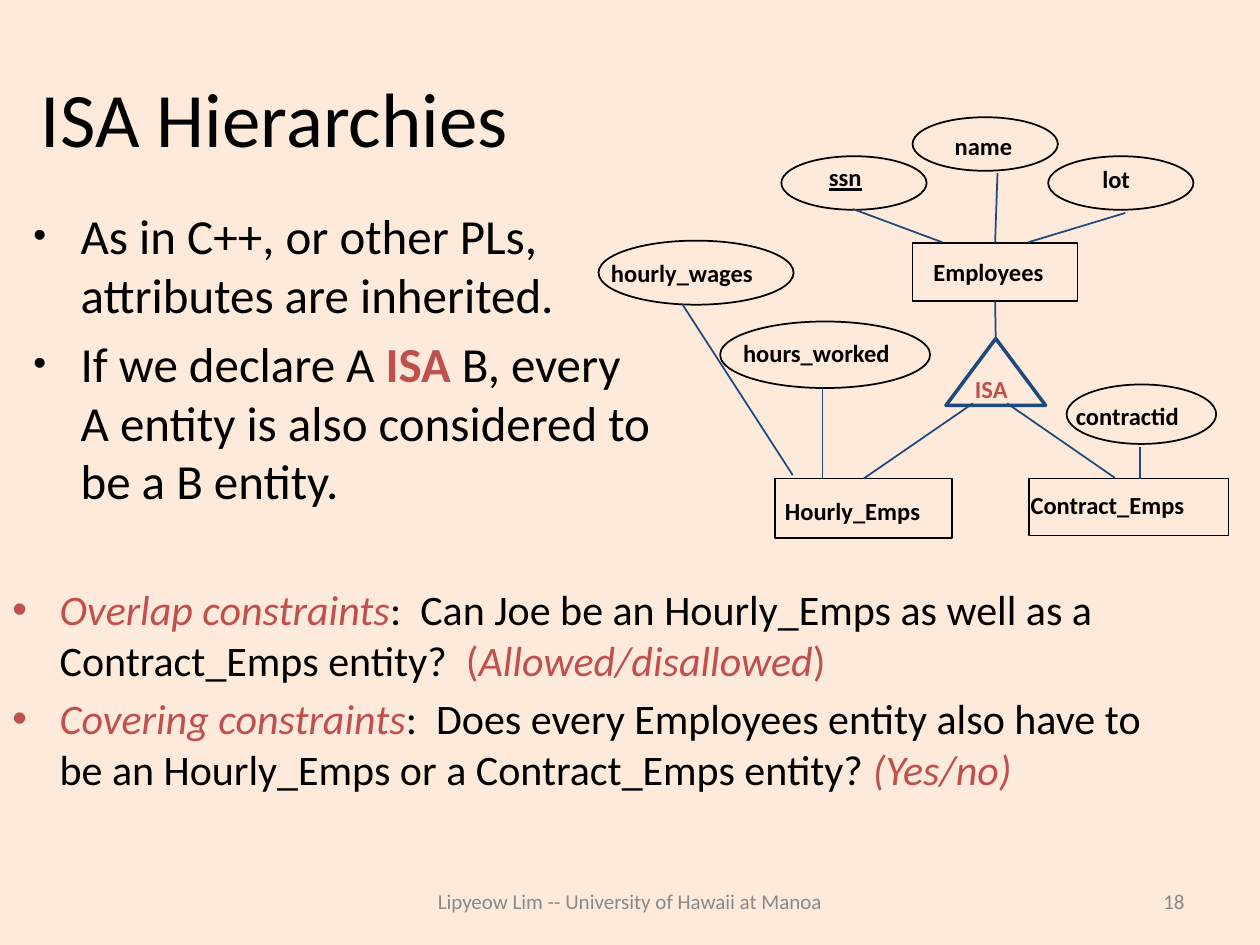
from lxml import etree
from pptx import Presentation
from pptx import util as u
from pptx.dml.color import RGBColor
from pptx.enum import shapes, text
from pptx.oxml.ns import qn

Pt = u.Pt
BLACK = RGBColor(0x00, 0x00, 0x00)
RED = RGBColor(0xC0, 0x50, 0x4D)
NAVY = RGBColor(0x1F, 0x49, 0x7D)
GREY = RGBColor(0x89, 0x89, 0x89)
PEACH = RGBColor(0xFD, 0xEA, 0xDA)
OVAL = shapes.MSO_SHAPE.OVAL
RECT = shapes.MSO_SHAPE.RECTANGLE
TRIANGLE = shapes.MSO_SHAPE.ISOSCELES_TRIANGLE
ALIGN = text.PP_ALIGN
ANCHOR = text.MSO_ANCHOR


class Deck:
    """Holds the style and the current slide."""

    font = "Calibri"

    def __init__(self, width, height):
        self.prs = Presentation()
        self.prs.slide_width, self.prs.slide_height = Pt(width), Pt(height)

    def slide(self, color):
        self.s = self.prs.slides.add_slide(self.prs.slide_layouts[6])
        fill = self.s.background.fill
        fill.solid()
        fill.fore_color.rgb = color

    def run(self, p, words, color=BLACK, **formats):
        r = p.add_run()
        r.text = words
        r.font.color.rgb = color
        for name, value in {"name": self.font, **formats}.items():
            setattr(r.font, name, value)

    def box(self, x, y, w, h, anchor=ANCHOR.TOP):
        tf = self.s.shapes.add_textbox(Pt(x), Pt(y), Pt(w), Pt(h)).text_frame
        tf.word_wrap = True
        tf.vertical_anchor = anchor
        return tf

    def line_of_text(self, words, x, y, w, h, size, color=BLACK,
                     align=ALIGN.LEFT, anchor=ANCHOR.MIDDLE, **formats):
        p = self.box(x, y, w, h, anchor).paragraphs[0]
        p.alignment = align
        self.run(p, words, color, size=Pt(size), **formats)

    def label(self, words, x, y, w, color=BLACK, **formats):
        self.line_of_text(words, x, y, w, 24, 14, color,
                          anchor=ANCHOR.TOP, bold=True, **formats)

    def bullets(self, items, x, y, w, h, size, color, percent):
        tf = self.box(x, y, w, h)
        for i, runs in enumerate(items):
            p = tf.add_paragraph() if i else tf.paragraphs[0]
            pPr = p._p.get_or_add_pPr()
            pPr.set("marL", str(Pt(27)))
            pPr.set("indent", str(-Pt(27)))
            clr = etree.SubElement(pPr, qn("a:buClr"))
            etree.SubElement(clr, qn("a:srgbClr"), val=str(color))
            etree.SubElement(pPr, qn("a:buSzPct"), val=str(percent * 1000))
            etree.SubElement(pPr, qn("a:buFont"), typeface="Arial")
            etree.SubElement(pPr, qn("a:buChar"), char="•")
            if i:
                p.space_before = Pt(size * 0.2)
            for words, formats in runs:
                self.run(p, words, size=Pt(size), **formats)

    def outline(self, kind, x, y, w, h, color=BLACK, weight=1):
        sp = self.s.shapes.add_shape(kind, Pt(x), Pt(y), Pt(w), Pt(h))
        sp.shadow.inherit = False
        sp.fill.background()
        sp.line.color.rgb = color
        sp.line.width = Pt(weight)
        return sp

    def link(self, x1, y1, x2, y2, begin=None, end=None):
        c = self.s.shapes.add_connector(
            shapes.MSO_CONNECTOR.STRAIGHT, Pt(x1), Pt(y1), Pt(x2), Pt(y2))
        c.line.color.rgb = NAVY
        c.line.width = Pt(1)
        etree.SubElement(c._element.spPr, qn("a:effectLst"))
        if begin:
            c.begin_connect(*begin)
        if end:
            c.end_connect(*end)


def main():
    d = Deck(720, 540)
    d.slide(PEACH)

    # Title
    d.line_of_text("ISA Hierarchies", 12, 21.6, 290, 90, 44, align=ALIGN.CENTER)

    # Bullet lists
    red, term = {"color": RED}, {"color": RED, "italic": True}
    d.bullets([
        [("As in C++, or other PLs, attributes are inherited.", {})],
        [("If we declare A ", {}), ("ISA", {"color": RED, "bold": True}),
         (" B, every A entity is also considered to be a B entity.", {})],
    ], 12, 114, 372, 198, 28, BLACK, 75)
    d.bullets([
        [("Overlap constraints", term),
         (":  Can Joe be an Hourly_Emps as well as a Contract_Emps entity?  ", {}),
         ("(", red), ("Allowed/disallowed", term), (")", red)],
        [("Covering constraints", term),
         (":  Does every Employees entity also have to be an Hourly_Emps "
          "or a Contract_Emps entity?", {}),
         (" (Yes/no)", term)],
    ], 0, 330, 678, 174, 24, RED, 100)

    # Attributes
    for oval in [(446.5, 89.3, 83, 30.6), (599, 89.3, 83, 30.6),
                 (521.5, 67, 83, 30.6), (342, 137.5, 111.5, 36.6),
                 (609.5, 219.7, 85.5, 34), (411.5, 183.7, 120, 38)]:
        d.outline(OVAL, *oval)

    # Entities and the ISA triangle
    employees = d.outline(RECT, 521.5, 138.7, 94.3, 33.5)
    hourly = d.outline(RECT, 443, 273.5, 101, 34)
    d.outline(RECT, 588, 273.5, 114, 32.5)
    isa = d.outline(TRIANGLE, 540.5, 193.5, 57, 38.2, NAVY, 2)

    # Links
    d.link(487.5, 119.5, 538.5, 138.5)
    d.link(570, 99, 570, 138.5, end=(employees, 0))
    d.link(643, 121.7, 587.5, 138.5)
    d.link(568.7, 193.5, 568.7, 172.2, begin=(isa, 0), end=(employees, 2))
    d.link(390, 174, 453, 271.5)
    d.link(470, 221.5, 470, 273)
    d.link(556, 230.5, 493.5, 273.5, end=(hourly, 0))
    d.link(575.5, 230.5, 637, 273)
    d.link(651.6, 255.6, 651.6, 273.5)

    # Labels
    d.label("name", 538.5, 71.3, 52)
    d.label("ssn", 466.5, 89.3, 40, underline=True)
    d.label("lot", 622.8, 90, 36)
    d.label("Employees", 526.3, 143.3, 88)
    d.label("hourly_wages", 342, 144, 107)
    d.label("hours_worked", 417.5, 189.5, 110)
    d.label("contractid", 607.7, 225.4, 82)
    d.label("Hourly_Emps", 441.4, 280, 104)
    d.label("Contract_Emps", 581.8, 276.5, 118)
    d.label("ISA", 550, 210.2, 38, RED)

    # Footer
    d.line_of_text("Lipyeow Lim -- University of Hawaii at Manoa",
                   216, 500.4, 288, 28.8, 12, GREY, ALIGN.CENTER)
    d.line_of_text("18", 516, 500.4, 168, 28.8, 12, GREY, ALIGN.RIGHT)

    d.prs.save("out.pptx")


if __name__ == "__main__":
    main()
